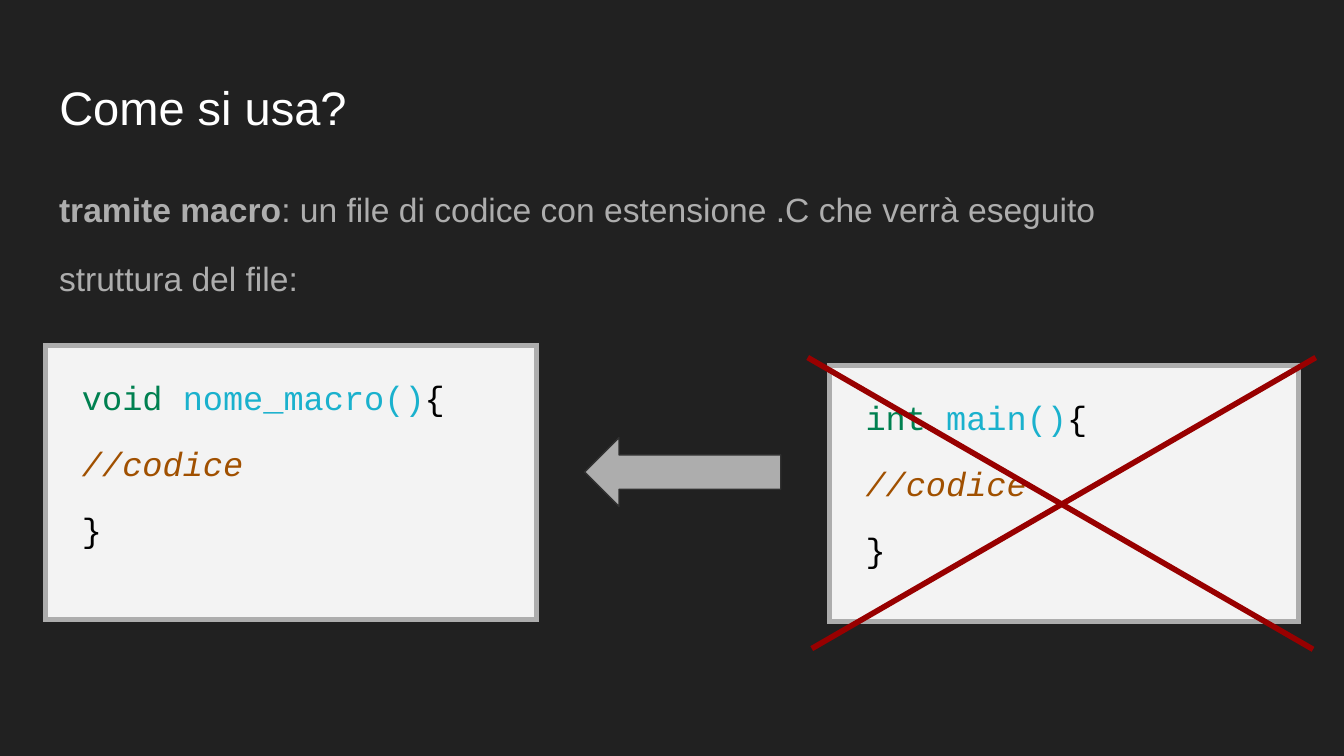
import pptx
import pptx.util
import pptx.dml.color
import pptx.enum.shapes
import pptx.enum.text
import pptx.oxml.ns
from lxml import etree

WIDTH = 10
HEIGHT = WIDTH * 9 / 16
SANS, MONO = "Arial", "Courier New"
COLORS = {
    "background": "212121", "title": "FFFFFF", "grey": "ADADAD",
    "panel": "F3F3F3", "keyword": "008050", "name": "1AB1CD",
    "comment": "A05000", "plain": "000000", "outline": "303030",
    "cross": "980000",
}


def rgb(name):
    return pptx.dml.color.RGBColor.from_string(COLORS[name])


def place(*shares):
    """Turn alternating horizontal and vertical percentages into lengths."""
    sides = (WIDTH, HEIGHT) * (len(shares) // 2)
    return [pptx.util.Inches(share * side / 100)
            for share, side in zip(shares, sides)]


def set_margins(tf, margin=0.1):
    tf.margin_left = tf.margin_right = pptx.util.Inches(margin)
    tf.margin_top = tf.margin_bottom = pptx.util.Inches(margin)
    tf.word_wrap = True


def write_paragraphs(tf, paragraphs, font):
    """Each paragraph is a list of (text, colour, style) runs."""
    for i, runs in enumerate(paragraphs):
        p = tf.paragraphs[0] if i == 0 else tf.add_paragraph()
        p.font.name, p.font.size = font, pptx.util.Pt(18)
        p.line_spacing = 1.15
        p.space_before = pptx.util.Pt(12 if i else 0)
        for text, color, style in runs:
            r = p.add_run()
            r.text = text
            r.font.name, r.font.size = font, pptx.util.Pt(18)
            r.font.color.rgb = rgb(color)
            r.font.bold = style == "bold"
            r.font.italic = style == "italic"


def add_title(s, text, *shares):
    title = s.shapes.title
    title.left, title.top, title.width, title.height = place(*shares)
    tf = title.text_frame
    set_margins(tf)
    tf.vertical_anchor = pptx.enum.text.MSO_ANCHOR.TOP
    p = tf.paragraphs[0]
    p.text = text
    p.alignment = pptx.enum.text.PP_ALIGN.LEFT
    p.font.name, p.font.size = SANS, pptx.util.Pt(25.2)
    p.font.color.rgb = rgb("title")


def add_body(s, paragraphs, *shares):
    tf = s.shapes.add_textbox(*place(*shares)).text_frame
    set_margins(tf)
    write_paragraphs(tf, paragraphs, SANS)


def set_borders(cell, color, width):
    tc_pr = cell._tc.get_or_add_tcPr()
    qn = pptx.oxml.ns.qn
    for i, side in enumerate(("a:lnL", "a:lnR", "a:lnT", "a:lnB")):
        ln = etree.Element(qn(side), w=str(pptx.util.Pt(width)))
        fill = etree.SubElement(ln, qn("a:solidFill"))
        etree.SubElement(fill, qn("a:srgbClr"), val=COLORS[color])
        tc_pr.insert(i, ln)


def add_code_panel(s, keyword, name, *shares):
    cell = s.shapes.add_table(1, 1, *place(*shares)).table.cell(0, 0)
    cell.fill.solid()
    cell.fill.fore_color.rgb = rgb("panel")
    set_borders(cell, "grey", 3)
    cell.margin_left = pptx.util.Inches(0.27)
    cell.margin_top = pptx.util.Inches(0.23)
    cell.margin_right = cell.margin_bottom = pptx.util.Inches(0.07)
    write_paragraphs(cell.text_frame, [
        [(keyword + " ", "keyword", None), (name, "name", None),
         ("{", "plain", None)],
        [("//codice", "comment", "italic")],
        [("}", "plain", None)],
    ], MONO)


def add_stroke(s, *shares):
    line = s.shapes.add_connector(
        pptx.enum.shapes.MSO_CONNECTOR.STRAIGHT, *place(*shares))
    line.line.color.rgb = rgb("cross")
    line.line.width = pptx.util.Pt(3)
    etree.SubElement(line._element.spPr, pptx.oxml.ns.qn("a:effectLst"))


def add_left_arrow(s, *shares):
    arrow = s.shapes.add_shape(
        pptx.enum.shapes.MSO_SHAPE.LEFT_ARROW, *place(*shares))
    arrow.shadow.inherit = False
    arrow.fill.solid()
    arrow.fill.fore_color.rgb = rgb("grey")
    arrow.line.color.rgb = rgb("outline")
    arrow.line.width = pptx.util.Pt(0.75)


def main():
    prs = pptx.Presentation()
    prs.slide_width, prs.slide_height = place(100, 100)
    s = prs.slides.add_slide(prs.slide_layouts[5])
    s.background.fill.solid()
    s.background.fill.fore_color.rgb = rgb("background")

    # Title and introduction
    add_title(s, "Come si usa?", 3.41, 8.65, 93.2, 11.2)
    add_body(s, [
        [("tramite macro", "grey", "bold"),
         (": un file di codice con estensione .C che verrà eseguito",
          "grey", None)],
        [("struttura del file:", "grey", None)],
    ], 3.41, 22.4, 93.2, 66.5)

    # Right and wrong file structure
    add_code_panel(s, "void", "nome_macro()", 3.4, 45.7, 36.5, 36.3)
    add_code_panel(s, "int", "main()", 61.7, 48.4, 34.9, 33.8)

    # Cross over the wrong one, arrow towards the right one
    add_stroke(s, 60.4, 85.8, 97.9, 47.3)
    add_left_arrow(s, 43.5, 57.9, 14.6, 9.1)
    add_stroke(s, 97.7, 85.9, 60.1, 47.3)

    prs.save("out.pptx")


if __name__ == "__main__":
    main()
